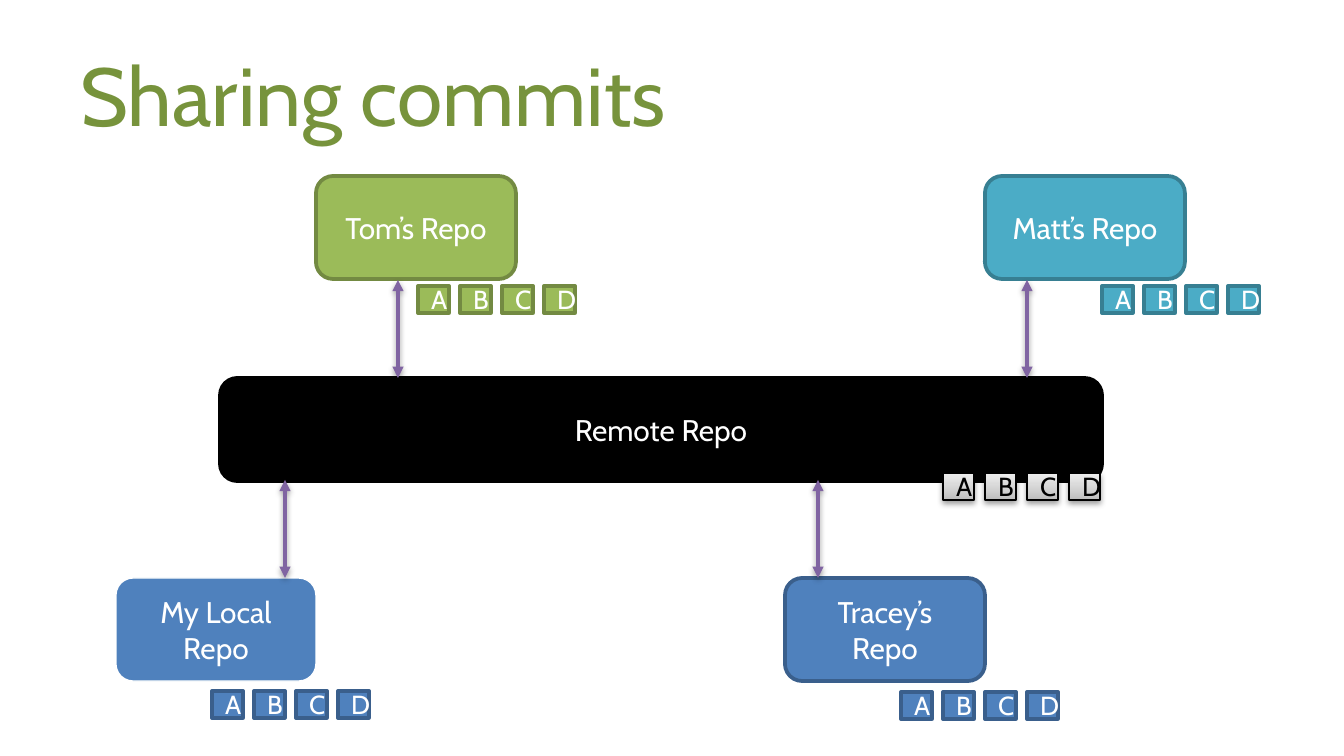
from lxml import etree
from pptx import Presentation
from pptx.dml.color import RGBColor
from pptx.enum.shapes import MSO_CONNECTOR, MSO_SHAPE
from pptx.enum.text import MSO_ANCHOR, PP_ALIGN
from pptx.oxml import parse_xml
from pptx.oxml.ns import nsdecls, qn
from pptx.util import Pt

ROUNDED = MSO_SHAPE.ROUNDED_RECTANGLE
RECTANGLE = MSO_SHAPE.RECTANGLE
STRAIGHT = MSO_CONNECTOR.STRAIGHT
MIDDLE = MSO_ANCHOR.MIDDLE
LEFT, CENTER = PP_ALIGN.LEFT, PP_ALIGN.CENTER

FONT = "Cabin"
WHITE, BLACK = "FFFFFF", "000000"
BLUE, DARK_BLUE = "4F81BD", "3A5F8C"
GREEN, DARK_GREEN = "9BBB59", "738A42"
TEAL, DARK_TEAL = "4BACC6", "377F92"
PURPLE = "8064A2"
SILVER = [(0, "BDBDBD"), (35, "D1D1D1"), (100, "EEEEEE")]

TITLE = "Sharing commits"
COMMITS = ["A", "B", "C", "D"]
TOP_ROW, REMOTE_ROW, BOTTOM_ROW = 176, 378, 578
REPO_W, REPO_H, REMOTE_W = 200, 103, 882
COMMIT_W, COMMIT_H, COMMIT_STEP = 31, 27, 42

REPOS = [
    ("My Local Repo", 116, BOTTOM_ROW, REPO_W, BLUE, WHITE, 0.75),
    ("Tom’s Repo", 316, TOP_ROW, REPO_W, GREEN, DARK_GREEN, 2),
    ("Tracey’s Repo", 785, BOTTOM_ROW, REPO_W, BLUE, DARK_BLUE, 2),
    ("Matt’s Repo", 985, TOP_ROW, REPO_W, TEAL, DARK_TEAL, 2),
    ("Remote Repo", 220, REMOTE_ROW, REMOTE_W, BLACK, BLACK, 2),
]
COMMIT_ROWS = [
    (212, 691, BLUE, DARK_BLUE, 2, WHITE),
    (418, 286, GREEN, DARK_GREEN, 2, WHITE),
    (1102, 286, TEAL, DARK_TEAL, 2, WHITE),
    (901, 692, BLUE, DARK_BLUE, 2, WHITE),
    (943, 473, SILVER, BLACK, 0.75, BLACK),
]
SYNCS = [(285, BOTTOM_ROW), (398, REMOTE_ROW), (818, BOTTOM_ROW), (1027, REMOTE_ROW)]
SYNC_LENGTH = 98


def px(length):
    return round(length * 914400 / 134.4)


def color(value):
    return RGBColor.from_string(value)


def write(frame, text, size, ink, align):
    frame.word_wrap = True
    frame.vertical_anchor = MIDDLE
    frame.text = text
    paragraph = frame.paragraphs[0]
    paragraph.alignment = align
    font = paragraph.runs[0].font
    font.name, font.size = FONT, Pt(size)
    font.color.rgb = color(ink)


def add_shadow(effects):
    effects.append(parse_xml(
        f'<a:outerShdw {nsdecls("a")} blurRad="40000" dist="20000" dir="5400000" rotWithShape="0">'
        f'<a:srgbClr val="{BLACK}"><a:alpha val="38000"/></a:srgbClr></a:outerShdw>'))


def fill_gradient(shape, stops):
    shape.fill.gradient()
    stop_xml = "".join(
        f'<a:gs pos="{position * 1000}"><a:srgbClr val="{value}"/></a:gs>' for position, value in stops)
    gradient = parse_xml(
        f'<a:gradFill {nsdecls("a")} rotWithShape="1"><a:gsLst>{stop_xml}</a:gsLst>'
        '<a:lin ang="16200000" scaled="0"/></a:gradFill>')
    properties = shape.element.spPr
    properties.replace(properties.find(qn("a:gradFill")), gradient)


def add_box(slide, preset, bounds, fill, border, weight, text, size, ink):
    box = slide.shapes.add_shape(preset, *map(px, bounds))
    box.line.color.rgb = color(border)
    box.line.width = Pt(weight)
    box.shadow.inherit = False
    if isinstance(fill, list):
        fill_gradient(box, fill)
        add_shadow(box.element.spPr.find(qn("a:effectLst")))
    else:
        box.fill.solid()
        box.fill.fore_color.rgb = color(fill)
    write(box.text_frame, text, size, ink, CENTER)


def add_sync(slide, x, bottom):
    sync = slide.shapes.add_connector(STRAIGHT, px(x), px(bottom), px(x), px(bottom - SYNC_LENGTH))
    sync.line.color.rgb = color(PURPLE)
    sync.line.width = Pt(2)
    properties = sync.element.spPr
    line = properties.find(qn("a:ln"))
    for end in ("a:headEnd", "a:tailEnd"):
        etree.SubElement(line, qn(end), type="triangle")
    add_shadow(etree.SubElement(properties, qn("a:effectLst")))


def main():
    deck = Presentation()
    deck.slide_width, deck.slide_height = px(1344), px(756)
    slide = deck.slides.add_slide(deck.slide_layouts[6])

    title = slide.shapes.add_textbox(px(67), px(31), px(1210), px(126))
    write(title.text_frame, TITLE, 44, "77933C", LEFT)

    for name, x, y, width, fill, border, weight in REPOS:
        add_box(slide, ROUNDED, (x, y, width, REPO_H), fill, border, weight, name, 16, WHITE)
    for x, y, fill, border, weight, ink in COMMIT_ROWS:
        for index, commit in enumerate(COMMITS):
            bounds = (x + index * COMMIT_STEP, y, COMMIT_W, COMMIT_H)
            add_box(slide, RECTANGLE, bounds, fill, border, weight, commit, 14, ink)
    for x, bottom in SYNCS:
        add_sync(slide, x, bottom)

    deck.save("out.pptx")


if __name__ == "__main__":
    main()
